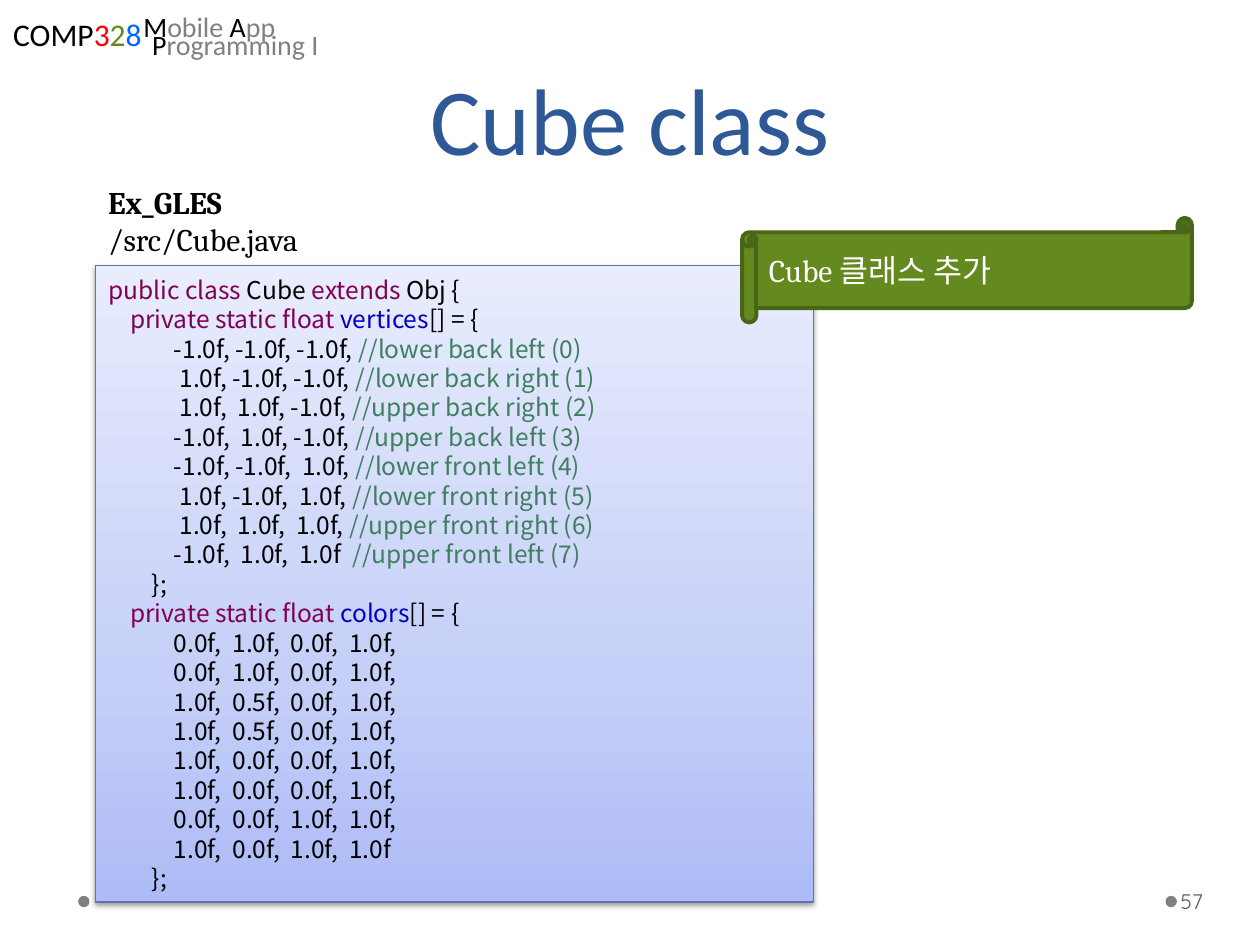
from lxml import etree
from pptx import Presentation, util as u
from pptx.dml.color import RGBColor
from pptx.enum import shapes, text
from pptx.oxml import ns

BLACK = RGBColor(0, 0, 0)
WHITE = RGBColor(255, 255, 255)
GRAY = RGBColor(0x80, 0x80, 0x80)
DARK = RGBColor(0x59, 0x59, 0x59)
RED = RGBColor(255, 0, 0)
GREEN = RGBColor(0x63, 0x89, 0x1F)
MOSS = RGBColor(0x49, 0x65, 0x17)
AZURE = RGBColor(0, 0x66, 0xFF)
NAVY = RGBColor(0x2F, 0x58, 0x97)
EDGE = RGBColor(0x5C, 0x72, 0xB2)
WORD = RGBColor(0x7F, 0, 0x55)
FIELD = RGBColor(0, 0, 0xC0)
NOTE = RGBColor(0x3F, 0x7F, 0x5F)

deck = Presentation()
deck.slide_width, deck.slide_height = u.Inches(10), u.Inches(7.5)
page = deck.slides.add_slide(deck.slide_layouts[6])

# Grid of 100 columns by 75 rows
COL, ROW = deck.slide_width / 100, deck.slide_height / 75


def place(x, y, w, h, kind=None):
    """Add a preset shape, or a text box when no kind is given."""
    area = [int(n) for n in (x * COL, y * ROW, w * COL, h * ROW)]
    if kind is None:
        return page.shapes.add_textbox(*area)
    shape = page.shapes.add_shape(kind, *area)
    shape.shadow.inherit = False
    return shape


def write(shape, lines, size, font, lead=None, wrap=False,
          align=text.PP_ALIGN.LEFT, anchor=text.MSO_ANCHOR.TOP):
    """Fill a shape with lines, each a list of (words, colour) runs."""
    frame = shape.text_frame
    frame.word_wrap, frame.vertical_anchor = wrap, anchor
    frame.text = "\n".join("" for _ in lines)
    for para, line in zip(frame.paragraphs, lines):
        para.alignment = align
        if lead:
            para.line_spacing = u.Pt(lead)
        for words, color in line:
            run = para.add_run()
            run.text = words
            run.font.size, run.font.name = u.Pt(size), font
            run.font.color.rgb = color
    return frame


# Footer dots
for x in (6.2, 92.5):
    dot = place(x, 71.1, 0.9, 0.9, shapes.MSO_SHAPE.OVAL)
    dot.fill.solid()
    dot.fill.fore_color.rgb = GRAY
    dot.line.fill.background()

# Course header
write(place(0, 1.9, 12.3, 3),
      [[("COMP", BLACK), ("3", RED), ("2", GREEN), ("8", AZURE)]],
      18, "Calibri", lead=13, align=text.PP_ALIGN.CENTER)
write(place(10.4, 1.1, 12.6, 4.7),
      [[("M", BLACK), ("obile ", GRAY), ("A", BLACK), ("pp", GRAY)]],
      16, "Calibri", lead=13)
write(place(11.1, 1.7, 15.4, 3.7),
      [[("P", BLACK), ("rogramming I", GRAY)]], 16, "Calibri")

# Page number
frame = write(place(93.4, 69.5, 6.1, 4), [[("57", DARK)]], 12, "Quicksand",
              wrap=True, anchor=text.MSO_ANCHOR.MIDDLE)
frame.margin_left, frame.margin_right = u.Inches(0.03), u.Inches(0.05)

# Title
write(place(5, 2.9, 90, 11.4), [[("Cube class", NAVY)]], 54, "Calibri",
      lead=58, wrap=True, align=text.PP_ALIGN.CENTER,
      anchor=text.MSO_ANCHOR.BOTTOM)

# Code lines: corner points, then one colour per corner
POINTS = [(-1, -1, -1), (1, -1, -1), (1, 1, -1), (-1, 1, -1),
          (-1, -1, 1), (1, -1, 1), (1, 1, 1), (-1, 1, 1)]
SPOTS = ["back left", "back right", "back right", "back left",
         "front left", "front right", "front right", "front left"]
SIDES = ["lower", "lower", "upper", "upper"] * 2
TINTS = [(0, 1, 0, 1), (0, 1, 0, 1), (1, 0.5, 0, 1), (1, 0.5, 0, 1),
         (1, 0, 0, 1), (1, 0, 0, 1), (0, 0, 1, 1), (1, 0, 1, 1)]
PAD = " " * 12
LAST = len(POINTS) - 1
STATIC = ("    private static float ", WORD)
OPEN = ("[] = {", BLACK)
CLOSE = [("        };", BLACK)]

code = [[("public class", WORD), (" Cube ", BLACK), ("extends ", WORD),
         ("Obj {", BLACK)],
        [STATIC, ("vertices", FIELD), OPEN]]
for i, point in enumerate(POINTS):
    nums = ",".join(f"{n:5.1f}f" for n in point)[1:]
    # A negative first number starts where the sign column starts
    nums = nums.rjust(len(nums))
    code.append([(PAD + nums + (", " if i < LAST else "  "), BLACK),
                 (f"//{SIDES[i]} {SPOTS[i]} ({i})", NOTE)])
code += [CLOSE, [STATIC, ("colors", FIELD), OPEN]]
for i, tint in enumerate(TINTS):
    nums = ",  ".join(f"{n:.1f}f" for n in tint)
    code.append([(PAD + nums + ("," if i < LAST else ""), BLACK)])
code.append(CLOSE)

# Code panel with gradient and soft shadow
panel = place(7.6, 21.1, 57, 50.5, shapes.MSO_SHAPE.RECTANGLE)
panel.line.color.rgb, panel.line.width = EDGE, u.Pt(0.75)
panel.fill.gradient()
grad = panel._element.spPr.find(ns.qn("a:gradFill"))
stops = grad.find(ns.qn("a:gsLst"))
for stop in list(stops):
    stops.remove(stop)
for pos, shade in ((0, "ADBBF6"), (35, "C5CFF8"), (100, "E8ECFD")):
    stop = etree.SubElement(stops, ns.qn("a:gs"), pos=str(pos * 1000))
    etree.SubElement(stop, ns.qn("a:srgbClr"), val=shade)
grad.find(ns.qn("a:lin")).set("ang", str(270 * 60000))
glow = etree.SubElement(panel._element.spPr.find(ns.qn("a:effectLst")),
                        ns.qn("a:outerShdw"), blurRad=str(u.Pt(3.1)),
                        dist=str(u.Pt(1.6)), dir=str(90 * 60000),
                        rotWithShape="0")
ink = etree.SubElement(glow, ns.qn("a:srgbClr"), val="000000")
etree.SubElement(ink, ns.qn("a:alpha"), val="38000")
frame = write(panel, code, 14, "Noto Sans CJK KR", lead=16.8)
frame.margin_top = u.Inches(0.07)

# File name
frame = write(place(7.6, 14, 17.9, 7.1),
              [[("Ex_GLES", BLACK)], [("/src/Cube.java", BLACK)]],
              18, "Cambria")
frame.paragraphs[0].runs[0].font.bold = True

# Scroll callout
scroll = place(58.9, 17.3, 35.7, 8.3, shapes.MSO_SHAPE.HORIZONTAL_SCROLL)
scroll.adjustments[0] = 0.137
scroll.fill.solid()
scroll.fill.fore_color.rgb = GREEN
scroll.line.color.rgb, scroll.line.width = MOSS, u.Pt(2.25)
write(scroll, [[("Cube 클래스 추가", WHITE)]], 18, "Cambria", wrap=True,
      anchor=text.MSO_ANCHOR.MIDDLE)

deck.save("out.pptx")
